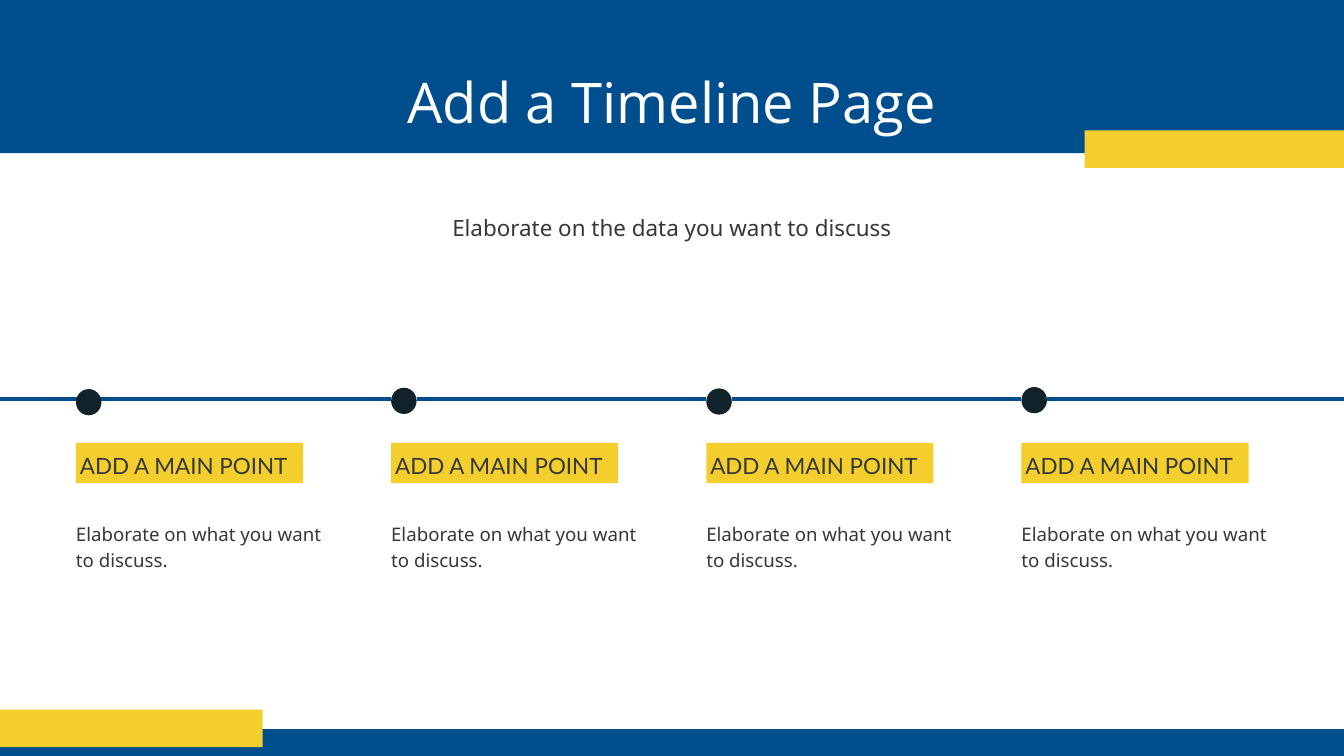
from pptx import Presentation
from pptx.dml.color import RGBColor
from pptx.enum.shapes import MSO_CONNECTOR, MSO_SHAPE
from pptx.enum.text import MSO_ANCHOR, MSO_AUTO_SIZE, PP_ALIGN
from pptx.oxml.ns import qn
from pptx.util import Inches, Pt
from lxml import etree

RECTANGLE, OVAL = MSO_SHAPE.RECTANGLE, MSO_SHAPE.OVAL
STRAIGHT = MSO_CONNECTOR.STRAIGHT
TOP, MIDDLE = MSO_ANCHOR.TOP, MSO_ANCHOR.MIDDLE
LEFT, CENTER = PP_ALIGN.LEFT, PP_ALIGN.CENTER
NO_AUTOFIT = MSO_AUTO_SIZE.NONE
BLUE, YELLOW, DARK, INK, WHITE = "004E8E", "F4CE2C", "12222B", "353839", "FFFFFF"

color = RGBColor.from_string

presentation = Presentation()
presentation.slide_width = Inches(20)
presentation.slide_height = Inches(11.25)
slide = presentation.slides.add_slide(presentation.slide_layouts[0])


def add_filled(kind, left, top, width, height, fill):
    shape = slide.shapes.add_shape(
        kind, Inches(left), Inches(top), Inches(width), Inches(height))
    shape.shadow.inherit = False
    shape.fill.solid()
    shape.fill.fore_color.rgb = color(fill)
    shape.line.fill.background()
    return shape


def write(shape, text, font, size, fill, spacing, align=LEFT, anchor=TOP, margin=0):
    frame = shape.text_frame
    frame_format = {"word_wrap": True, "auto_size": NO_AUTOFIT, "vertical_anchor": anchor}
    for side in ("left", "top", "right", "bottom"):
        frame_format[f"margin_{side}"] = Inches(margin)
    for name, value in frame_format.items():
        setattr(frame, name, value)
    frame.text = text
    paragraph = frame.paragraphs[0]
    paragraph_format = {"alignment": align, "line_spacing": Pt(spacing), "space_before": Pt(0)}
    for name, value in paragraph_format.items():
        setattr(paragraph, name, value)
    run_font = paragraph.runs[0].font
    run_font.name, run_font.size = font, Pt(size)
    run_font.color.rgb = color(fill)


# Header and footer bands with their accents
for left, top, width, height, fill in (
    (0, 0, 20, 2.28, BLUE),
    (0, 10.85, 20, 0.4, BLUE),
    (16.14, 1.94, 3.91, 0.56, YELLOW),
    (0, 10.56, 3.91, 0.56, YELLOW),
):
    add_filled(RECTANGLE, left, top, width, height, fill)

# Title and subtitle, brought in front of the header band
title, subtitle = slide.placeholders
for placeholder, top, height in ((title, 1.04, 0.96), (subtitle, 3.12, 0.43)):
    placeholder.left, placeholder.top = Inches(1.97), Inches(top)
    placeholder.width, placeholder.height = Inches(16.05), Inches(height)
    slide.shapes.element.append(placeholder.element)
write(title, "Add a Timeline Page", "Open Sans", 60, WHITE, 69.6, CENTER)
write(subtitle, "Elaborate on the data you want to discuss",
      "Noto Sans", 24, INK, 33.6, CENTER)

# Timeline: each line runs between neighbouring dots, the first one under its dot
FIRST_LEFT, STEP, DOT_WIDTH = 1.13, 4.69, 0.38
dot_lefts = [FIRST_LEFT + STEP * index for index in range(4)]
line_starts = [0] + [left + DOT_WIDTH for left in dot_lefts[1:]]
line_ends = dot_lefts[1:] + [20]
for start, end in zip(line_starts, line_ends):
    line = slide.shapes.add_connector(
        STRAIGHT, Inches(start), Inches(5.94), Inches(end), Inches(5.94))
    line.line.color.rgb = color(BLUE)
    line.line.width = Pt(3.75)
    etree.SubElement(line.element.spPr, qn("a:effectLst"))

for left, dot_top in zip(dot_lefts, (5.79, 5.77, 5.78, 5.76)):
    add_filled(OVAL, left, dot_top, DOT_WIDTH, 0.39, DARK)
    label = add_filled(RECTANGLE, left, 6.59, 3.38, 0.6, YELLOW)
    write(label, "ADD A MAIN POINT", "Lato", 24, INK, 33.6, anchor=MIDDLE, margin=0.06)
    description = slide.shapes.add_textbox(
        Inches(left), Inches(7.73), Inches(3.68), Inches(0.77))
    write(description, "Elaborate on what you want to discuss.", "Noto Sans", 20, INK, 28)

presentation.save("out.pptx")
